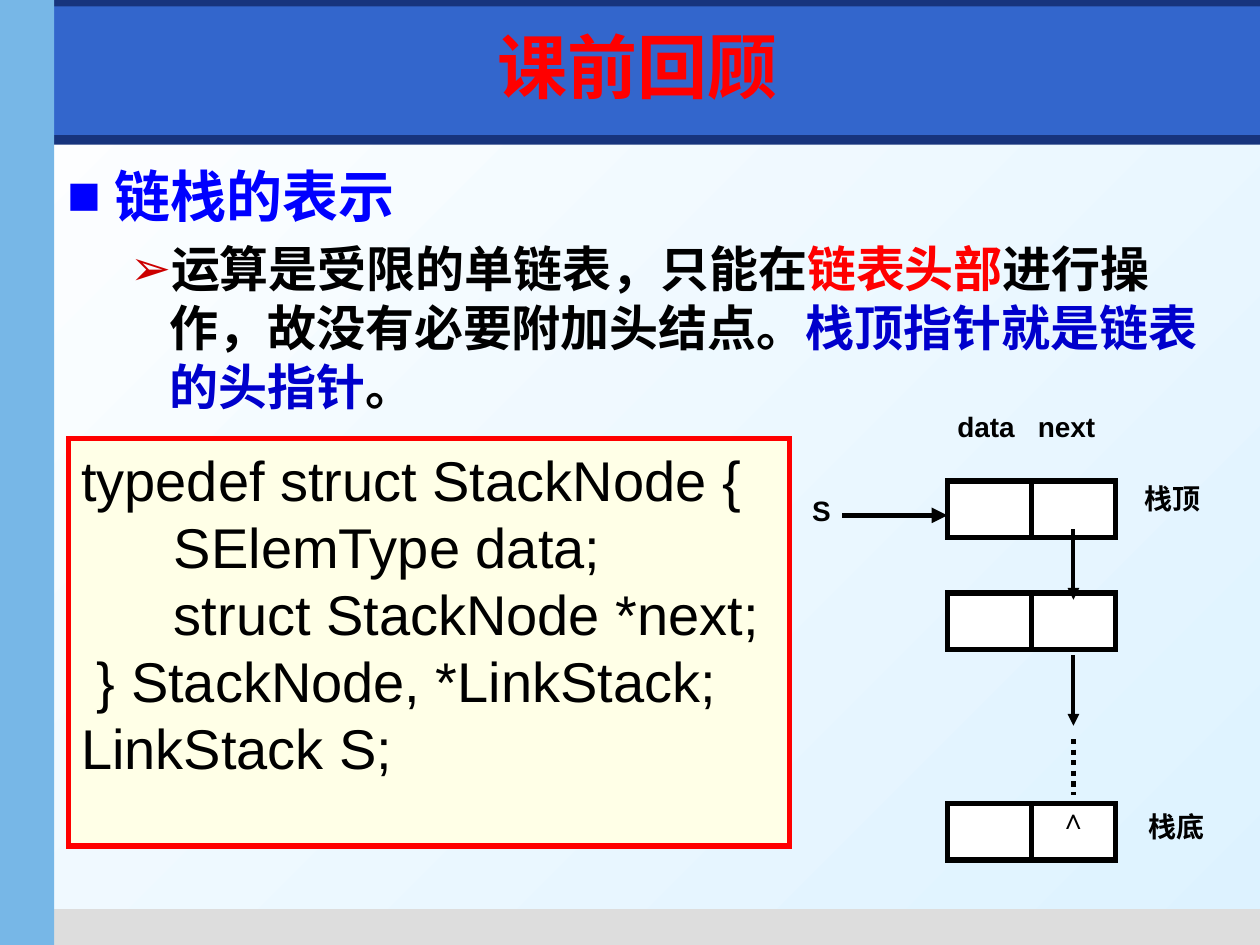
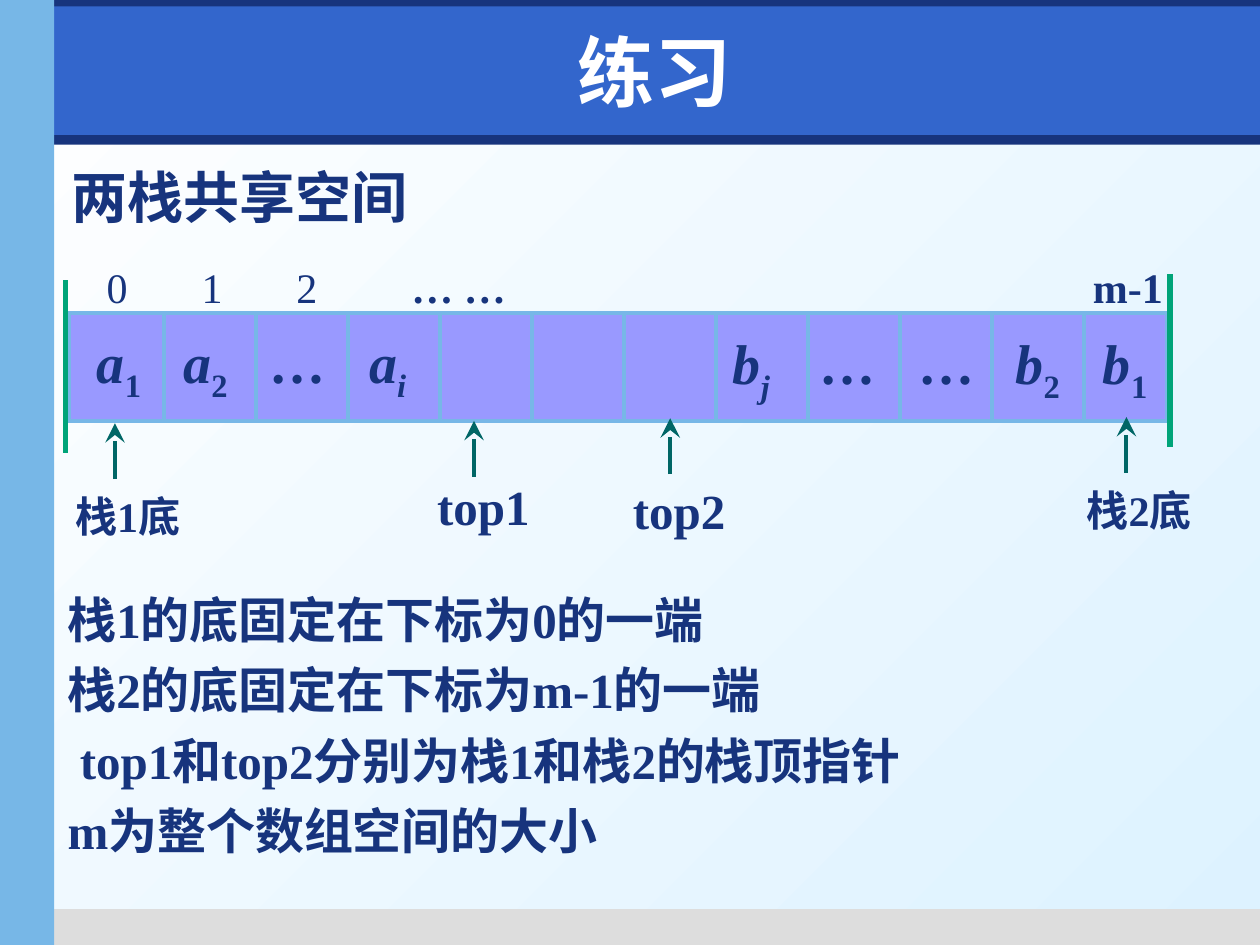
from dataclasses import dataclass, replace

from lxml.etree import SubElement
from pptx import Presentation
from pptx.dml.color import RGBColor
from pptx.enum.dml import MSO_LINE
from pptx.enum.shapes import MSO_CONNECTOR, MSO_SHAPE
from pptx.enum.text import MSO_ANCHOR, PP_ALIGN
from pptx.oxml.ns import qn
from pptx.util import Pt


@dataclass(frozen=True)
class Theme:
    white: str = "FFFFFF"
    sky: str = "DDF2FF"
    navy: str = "17347D"
    blue: str = "3366CC"
    light_blue: str = "77B7E7"
    grey: str = "DDDDDD"
    black: str = "000000"
    red: str = "FF0000"
    bullet_red: str = "CC0000"
    bright_blue: str = "0000FF"
    deep_blue: str = "0000CC"
    cream: str = "FFFFE7"
    violet: str = "9999FF"
    green: str = "00A479"
    teal: str = "006666"
    sans: str = "Arial"
    serif: str = "Times New Roman"
    title_font: str = "DejaVu Sans"
    title_size: int = 44
    review_title_size: int = 40
    heading_size: int = 32
    text_size: int = 28
    label_size: int = 24
    small_size: int = 16
    thick: float = 3
    thin: float = 2.25


@dataclass(frozen=True)
class Style:
    size: int
    font: str
    color: str
    bold: bool = True
    italic: bool = False
    subscript: bool = False


THEME = Theme()
HEADING = Style(THEME.heading_size, THEME.serif, THEME.navy)
STATEMENT = replace(HEADING, size=THEME.text_size)
LABEL = replace(HEADING, size=THEME.label_size)
NODE_LABEL = Style(THEME.small_size, THEME.sans, THEME.black)
CODE = Style(THEME.heading_size, THEME.sans, THEME.black, bold=False)
BULLET_TEXT = Style(THEME.text_size, THEME.sans, THEME.black)


def color_of(value):
    return RGBColor.from_string(value)


def add_run(paragraph, text, style):
    run = paragraph.add_run()
    run.text = text
    run.font.size = Pt(style.size)
    run.font.name = style.font
    run.font.bold = style.bold
    run.font.italic = style.italic
    run.font.color.rgb = color_of(style.color)
    if style.subscript:
        run.font._element.set("baseline", "-25000")


def indent(paragraph, left, first=0):
    properties = paragraph._p.get_or_add_pPr()
    properties.set("marL", str(Pt(left)))
    properties.set("indent", str(Pt(first)))
    return properties


def add_bullet(paragraph, character, color, left, first):
    properties = indent(paragraph, left, first)
    properties.set("hangingPunct", "0")
    bullet_color = SubElement(properties, qn("a:buClr"))
    SubElement(bullet_color, qn("a:srgbClr")).set("val", color)
    SubElement(properties, qn("a:buFont")).set("typeface", THEME.sans)
    SubElement(properties, qn("a:buChar")).set("char", character)


def fill_lines(frame, lines, style, line_spacing=None):
    for index, (left, text) in enumerate(lines):
        paragraph = frame.paragraphs[0] if index == 0 else frame.add_paragraph()
        paragraph.alignment = PP_ALIGN.LEFT
        paragraph.line_spacing = line_spacing
        indent(paragraph, left)
        add_run(paragraph, text, style)


def add_text(slide, left, top, width, height, runs=(), align=PP_ALIGN.LEFT):
    box = slide.shapes.add_textbox(Pt(left), Pt(top), Pt(width), Pt(height))
    frame = box.text_frame
    frame.word_wrap = True
    frame.paragraphs[0].alignment = align
    for text, style in runs:
        add_run(frame.paragraphs[0], text, style)
    return frame


def add_rectangle(slide, left, top, width, height, fill, line=None, line_width=0):
    shape = slide.shapes.add_shape(
        MSO_SHAPE.RECTANGLE, Pt(left), Pt(top), Pt(width), Pt(height)
    )
    shape.shadow.inherit = False
    shape.fill.solid()
    shape.fill.fore_color.rgb = color_of(fill)
    if line:
        shape.line.color.rgb = color_of(line)
        shape.line.width = Pt(line_width)
        SubElement(shape.line._get_or_add_ln(), qn("a:miter")).set("lim", "800000")
    else:
        shape.line.fill.background()
    return shape


def add_line(slide, start, end, color, width, arrow=None, size="med", dash=None):
    connector = slide.shapes.add_connector(
        MSO_CONNECTOR.STRAIGHT, Pt(start[0]), Pt(start[1]), Pt(end[0]), Pt(end[1])
    )
    connector.line.color.rgb = color_of(color)
    connector.line.width = Pt(width)
    if dash:
        connector.line.dash_style = dash
    if arrow:
        head = SubElement(connector.line._get_or_add_ln(), qn("a:tailEnd"))
        for name, value in (("type", arrow), ("w", size), ("len", size)):
            head.set(name, value)
    SubElement(connector.element.spPr, qn("a:effectLst"))


def decorate_layout(layout, slide):
    fill = layout.background.fill
    fill.gradient()
    fill.gradient_angle = 315
    for stop, color in zip(fill.gradient_stops, (THEME.white, THEME.sky)):
        stop.color.rgb = color_of(color)
    bands = [
        (3, 76.8, 717, 5.8, THEME.navy),
        (25, 519.5, 695, 20.5, THEME.grey),
        (0, 0, 720, 15, THEME.navy),
        (31, 3.6, 689, 73.6, THEME.blue),
        (0, 0, 31, 540, THEME.light_blue),
    ]
    for index, band in enumerate(bands):
        element = add_rectangle(slide, *band).element
        element.nvSpPr.cNvPr.set("id", str(100 + index))
        layout.shapes.element.insert(2 + index, element)


def set_title(slide, text, style, left, top, width, height):
    title = slide.shapes.title
    title.left, title.top = Pt(left), Pt(top)
    title.width, title.height = Pt(width), Pt(height)
    title.text_frame.vertical_anchor = MSO_ANCHOR.MIDDLE
    paragraph = title.text_frame.paragraphs[0]
    paragraph.alignment = PP_ALIGN.CENTER
    add_run(paragraph, text, style)


def add_review_text(slide, left, top, width, height):
    heading = replace(BULLET_TEXT, size=THEME.heading_size, color=THEME.bright_blue)
    frame = add_text(slide, left, top, width, height, [("链栈的表示", heading)])
    add_bullet(frame.paragraphs[0], "■", THEME.bright_blue, 27, -27)
    paragraph = frame.add_paragraph()
    paragraph.space_before = Pt(6)
    add_bullet(paragraph, "➢", THEME.bullet_red, 58.5, -22.5)
    for text, color in [
        ("运算是受限的单链表，只能在", THEME.black),
        ("链表头部", THEME.red),
        ("进行操作，故没有必要附加头结点。", THEME.black),
        ("栈顶指针就是链表的头指针", THEME.deep_blue),
        ("。", THEME.black),
    ]:
        add_run(paragraph, text, replace(BULLET_TEXT, color=color))


def add_code(slide, left, top, width, height):
    box = add_rectangle(
        slide, left, top, width, height, THEME.cream, THEME.red, THEME.thick
    )
    box.text_frame.word_wrap = True
    box.text_frame.vertical_anchor = MSO_ANCHOR.TOP
    lines = [
        (0, "typedef struct StackNode {"),
        (53, "SElemType data;"),
        (53, "struct StackNode *next;"),
        (9, "} StackNode, *LinkStack;"),
        (0, "LinkStack S;"),
    ]
    fill_lines(box.text_frame, lines, CODE)


def add_linked_stack(slide, left, top):
    node_left, node_width, node_height = left + 90, 96, 32.4
    middle = node_left + node_width / 2
    next_center = node_left + node_width * 0.75
    for node_top in (top + 44.8, top + 108.8, top + 229):
        add_rectangle(
            slide, node_left, node_top, node_width, node_height,
            THEME.white, THEME.black, THEME.thick,
        )
        add_line(
            slide, (middle, node_top), (middle, node_top + node_height),
            THEME.black, THEME.thick,
        )
    for arrow_top in (top + 72.4, top + 144.4):
        add_line(
            slide, (next_center, arrow_top), (next_center, arrow_top + 40.3),
            THEME.black, THEME.thin, "triangle",
        )
    add_line(
        slide, (next_center, top + 192.4), (next_center, top + 224.3),
        THEME.black, THEME.thick, dash=MSO_LINE.ROUND_DOT,
    )
    add_line(
        slide, (left + 30, top + 64.5), (node_left, top + 64.5),
        THEME.black, THEME.thick, "triangle",
    )
    for text, center, label_top in [
        ("data", middle - 26, 0.4),
        ("next", middle + 20, 0.4),
        ("栈顶", left + 218.6, 41.4),
        ("栈底", left + 220.8, 229),
        ("S", left + 18, 48.6),
        ("∧", next_center, 224.3),
    ]:
        add_text(
            slide, center - 30, top + label_top, 60, 27,
            [(text, NODE_LABEL)], PP_ALIGN.CENTER,
        )


def add_shared_array(slide, left, top, width, height):
    cell_count, pitch = 12, 52.6
    add_rectangle(
        slide, left, top, width, height, THEME.violet, THEME.light_blue, THEME.thin
    )
    for column in range(1, cell_count):
        x = left + 1.5 + column * pitch
        add_line(
            slide, (x, top + 1), (x, top + height), THEME.light_blue, THEME.thin
        )
    for x, wall_top in [(left - 2, top - 18.5), (left + width + 2, top - 22)]:
        add_line(slide, (x, wall_top), (x, wall_top + 99), THEME.green, THEME.thick)

    letter = replace(HEADING, italic=True)
    subscript = replace(HEADING, subscript=True)
    for column, name, number, drop in [
        (0.04, "a", "1", 5), (0.98, "a", "2", 5), (1.98, "…", "", 5),
        (2.96, "a", "i", 5), (6.91, "b", "j", 5.8), (7.96, "…", "", 5.8),
        (9.03, "…", "", 5.8), (10.02, "b", "2", 5.8), (10.97, "b", "1", 5.8),
    ]:
        runs = [(name, letter if number else HEADING)]
        if number:
            runs.append((number, replace(subscript, italic=number.isalpha())))
        x = left + column * pitch
        add_text(slide, x - 5, top + drop, pitch + 10, 45, runs, PP_ALIGN.CENTER)

    for column, text, bold in [
        (0.02, "0", False), (1.05, "1", False), (2.08, "2", False),
        (3.73, "… …", True), (11, "m-1", True),
    ]:
        x = left + column * pitch
        add_text(
            slide, x - 20, top - 32.8, pitch + 40, 36,
            [(text, replace(LABEL, bold=bold))], PP_ALIGN.CENTER,
        )


def add_pointer(slide, x, tip, text, style, label_drop, label_shift):
    add_line(slide, (x, tip + 32), (x, tip), THEME.teal, THEME.thin, "stealth", "lg")
    add_text(
        slide, x + label_shift - 50, tip + label_drop, 100, 40,
        [(text, style)], PP_ALIGN.CENTER,
    )


def add_statements(slide, left, top, width, height):
    frame = add_text(slide, left, top, width, height)
    frame.margin_left = frame.margin_right = Pt(0)
    lines = [
        (0, "栈1的底固定在下标为0的一端"),
        (0, "栈2的底固定在下标为m-1的一端"),
        (7, "top1和top2分别为栈1和栈2的栈顶指针"),
        (0, "m为整个数组空间的大小"),
    ]
    fill_lines(frame, lines, STATEMENT, 1.2)


def build_review_slide(slide):
    style = Style(THEME.review_title_size, THEME.sans, THEME.red)
    set_title(slide, "课前回顾", style, 219, -0.4, 291, 75.6)
    add_review_text(slide, 31.3, 88.6, 674.6, 160)
    add_code(slide, 39.3, 250.8, 411.8, 232.6)
    add_linked_stack(slide, 451.4, 230)


def build_exercise_slide(slide):
    style = Style(THEME.title_size, THEME.title_font, THEME.white)
    set_title(slide, "练习", style, 42.5, 9, 663, 62.6)
    add_text(slide, 33.8, 89.3, 360, 45.4, [("两栈共享空间", HEADING)])
    add_shared_array(slide, 39.6, 178.6, 627, 62)
    add_pointer(slide, 65.7, 241.8, "栈1底", LABEL, 35.2, 7.3)
    add_pointer(slide, 270.9, 240.5, "top1", STATEMENT, 28, 5.3)
    add_pointer(slide, 383, 239, "top2", STATEMENT, 32, 5)
    add_pointer(slide, 643.7, 238.3, "栈2底", LABEL, 35, 7.3)
    add_statements(slide, 38.6, 326.4, 644.4, 168.5)


presentation = Presentation()
presentation.slide_width, presentation.slide_height = Pt(720), Pt(540)
title_only = presentation.slide_layouts[5]
review_slide = presentation.slides.add_slide(title_only)
exercise_slide = presentation.slides.add_slide(title_only)
decorate_layout(title_only, review_slide)
build_review_slide(review_slide)
build_exercise_slide(exercise_slide)
presentation.save("out.pptx")
